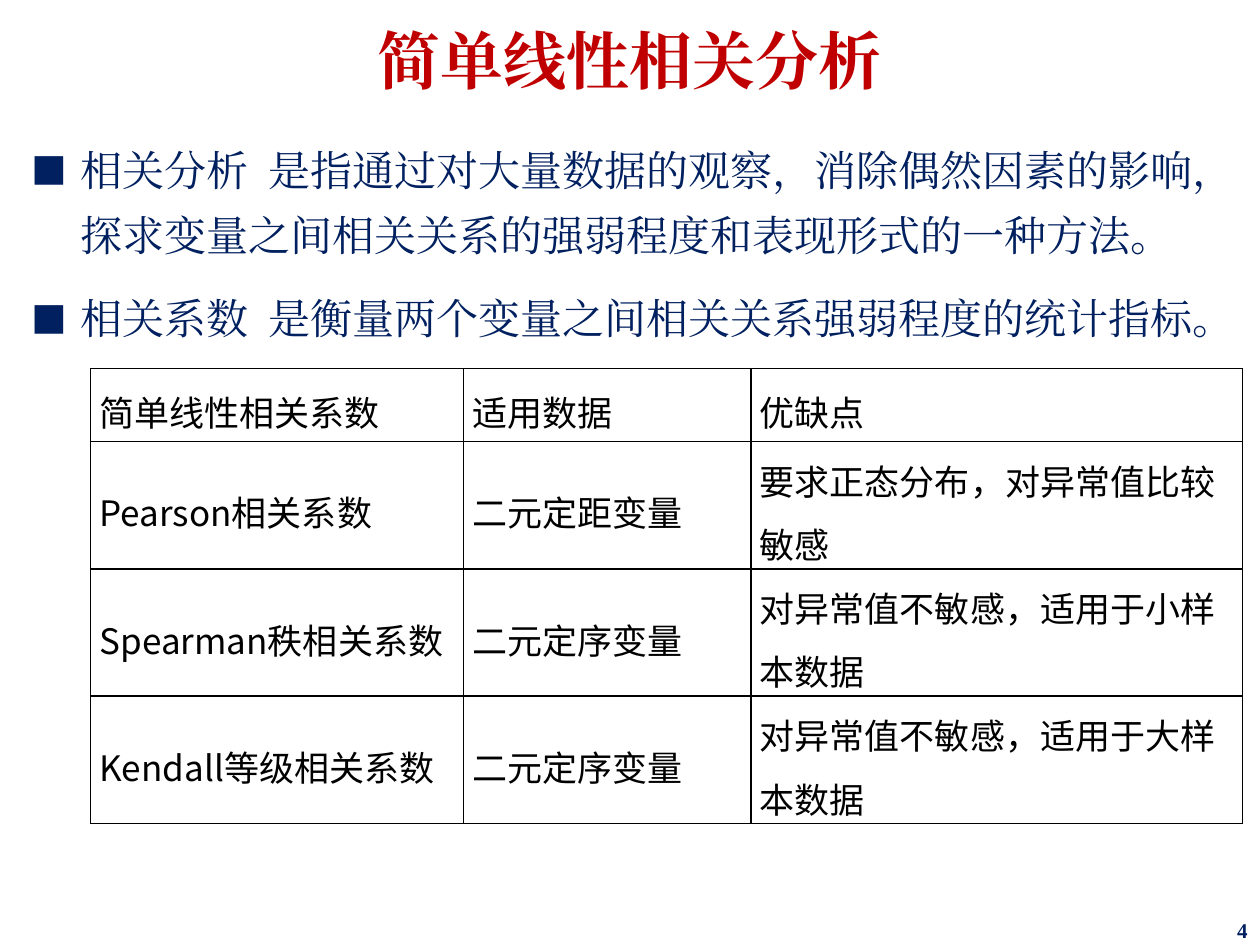
import pptx
import pptx.util
import pptx.dml.color
import pptx.enum.text
import pptx.oxml.ns
from lxml import etree

WIDE, HIGH = 10, 7.5
SERIF, SANS = "Times New Roman", "Noto Sans CJK SC"
HUES = {"title": "C00000", "body": "002060", "cell": "000000"}
ALIGN = pptx.enum.text.PP_ALIGN
MIDDLE = pptx.enum.text.MSO_ANCHOR.MIDDLE

POINTS = [
    "相关分析\t是指通过对大量数据的观察，消除偶然因素的影响，探求变量之间相关关系的强弱程度和表现形式的一种方法。",
    "相关系数\t是衡量两个变量之间相关关系强弱程度的统计指标。",
]
ROWS = [
    ["简单线性相关系数", "适用数据", "优缺点"],
    ["Pearson相关系数", "二元定距变量", "要求正态分布，对异常值比较敏感"],
    ["Spearman秩相关系数", "二元定序变量", "对异常值不敏感，适用于小样本数据"],
    ["Kendall等级相关系数", "二元定序变量", "对异常值不敏感，适用于大样本数据"],
]
COLS = [2.96, 2.28, 3.9]
TALL = [0.58, 1.01, 1.01, 1.01]


def inch(size):
    return pptx.util.Inches(size)


def add(node, tag, **attrs):
    return etree.SubElement(node, pptx.oxml.ns.qn(tag), attrs)


def style(para, face, size, hue, bold=False):
    for run in para.runs:
        font = run.font
        font.name, font.size, font.bold = face, pptx.util.Pt(size), bold
        font.color.rgb = pptx.dml.color.RGBColor.from_string(HUES[hue])
        add(font._element, "a:ea", typeface=face)


def add_box(slide, left, top, width, height, inset=0.05):
    box = slide.shapes.add_textbox(
        inch(left * WIDE), inch(top * HIGH), inch(width * WIDE), inch(height * HIGH))
    frame = box.text_frame
    frame.word_wrap = True
    frame.margin_top = inch(inset)
    return frame


def add_line(slide, text, place, inset, size, hue, align):
    frame = add_box(slide, *place, inset)
    frame.vertical_anchor = MIDDLE
    frame.text = text
    para = frame.paragraphs[0]
    para.alignment = align
    style(para, SERIF, size, hue, True)
    return para


def add_list(slide, points, place):
    frame = add_box(slide, *place)
    frame.text = "\n".join(points)
    for index, para in enumerate(frame.paragraphs):
        para.line_spacing = 1.3
        para.space_before = pptx.util.Pt(10 if index else 0)
        props = para._p.get_or_add_pPr()
        props.set("marL", str(inch(0.39)))
        props.set("indent", str(-inch(0.39)))
        add(props, "a:buSzPct", val="85000")
        add(props, "a:buFont", typeface=SANS)
        add(props, "a:buChar", char="■")
        tabs = add(props, "a:tabLst")
        add(tabs, "a:tab", pos=str(inch(1.88)), algn="l")
        style(para, SERIF, 24, "body")


def add_edges(cell):
    props = cell._tc.get_or_add_tcPr()
    for side in "LRTB":
        line = add(props, "a:ln" + side, w=str(pptx.util.Pt(1)))
        add(add(line, "a:solidFill"), "a:srgbClr", val=HUES["cell"])


def fill_cell(cell, text):
    add_edges(cell)
    cell.fill.background()
    cell.vertical_anchor = MIDDLE
    cell.margin_left = cell.margin_right = inch(0.07)
    cell.margin_top = cell.margin_bottom = 0
    cell.text_frame.text = text
    para = cell.text_frame.paragraphs[0]
    para.line_spacing = 1.25
    style(para, SANS, 20, "cell")


def add_grid(slide, left, top):
    table = slide.shapes.add_table(
        len(TALL), len(COLS), inch(left * WIDE), inch(top * HIGH),
        inch(sum(COLS)), inch(sum(TALL))).table
    table.first_row = table.horz_banding = False
    for col, width in zip(table.columns, COLS):
        col.width = inch(width)
    for row, height, texts in zip(table.rows, TALL, ROWS):
        row.height = inch(height)
        for cell, text in zip(row.cells, texts):
            fill_cell(cell, text)


def main():
    deck = pptx.Presentation()
    deck.slide_width, deck.slide_height = inch(WIDE), inch(HIGH)
    slide = deck.slides.add_slide(deck.slide_layouts[6])
    title = add_line(slide, "简单线性相关分析", (0, 0, 1, 0.12), 0.16, 36, "title", ALIGN.CENTER)
    title.line_spacing = 0.9
    add_list(slide, POINTS, (0.015, 0.13, 0.97, 0.82))
    add_line(slide, "4", (0.775, 0.97, 0.225, 0.03), 0.04, 12, "body", ALIGN.RIGHT)
    add_grid(slide, 0.072, 0.39)
    deck.save("out.pptx")


if __name__ == "__main__":
    main()
